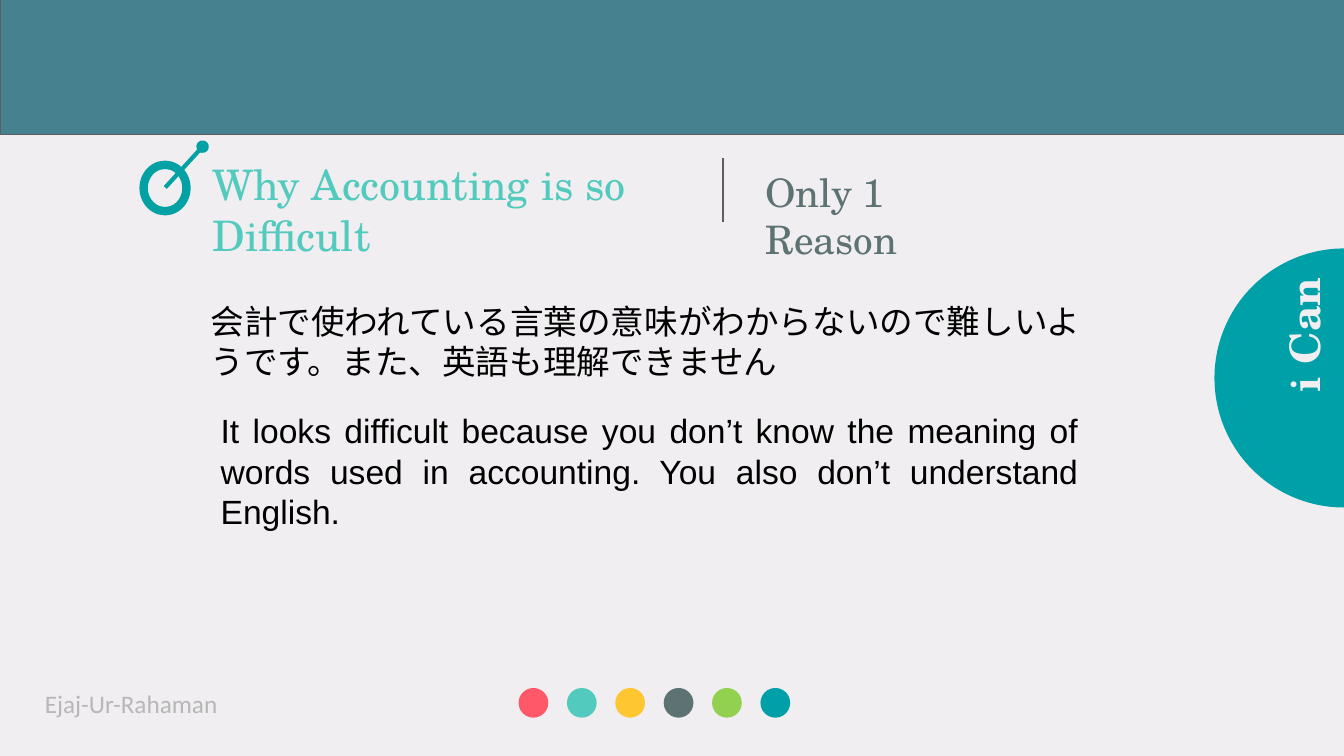
from math import cos, pi, sin

from lxml.etree import SubElement
from pptx import Presentation
from pptx.dml.color import RGBColor
from pptx.enum.shapes import MSO_CONNECTOR, MSO_SHAPE
from pptx.enum.text import MSO_ANCHOR, PP_ALIGN
from pptx.oxml.ns import qn
from pptx.util import Inches, Pt

SERIF = "TeX Gyre Schola"
SANS = "Arial"
PAPER = "F0EEF0"
TEAL = "00A0A8"
MINT = "52CBBE"
SLATE = "5D7373"
RULE = "5E5E5E"
TARGET = "03A1A4"
DOT_COLORS = ["FF5969", MINT, "FEC630", SLATE, "92D050", TEAL]


def color(value):
    """Turn a hex string into a colour."""
    return RGBColor.from_string(value)


def paint(shape, fill=None, line=None, weight=0):
    """Set the fill and outline of a shape and remove its shadow."""
    shape.shadow.inherit = False
    if fill:
        shape.fill.solid()
        shape.fill.fore_color.rgb = color(fill)
    else:
        shape.fill.background()
    if line:
        shape.line.color.rgb = color(line)
        shape.line.width = Pt(weight)
    else:
        shape.line.fill.background()


def add_preset(slide, kind, left, top, width, height, **style):
    """Add a painted preset shape."""
    shape = slide.shapes.add_shape(
        kind, Inches(left), Inches(top), Inches(width), Inches(height))
    paint(shape, **style)


def add_line(slide, x1, y1, x2, y2, stroke, weight):
    """Add a straight line without a shadow."""
    line = slide.shapes.add_connector(
        MSO_CONNECTOR.STRAIGHT, Inches(x1), Inches(y1), Inches(x2), Inches(y2))
    line.line.color.rgb = color(stroke)
    line.line.width = Pt(weight)
    SubElement(line._element.spPr, qn("a:effectLst"))
    return line


def add_text(slide, text, left, top, width, height, size, font, ink,
             align=PP_ALIGN.LEFT, bold=False, rotation=0):
    """Add a wrapped text box with one paragraph."""
    box = slide.shapes.add_textbox(
        Inches(left), Inches(top), Inches(width), Inches(height))
    box.rotation = rotation
    frame = box.text_frame
    frame.word_wrap = True
    frame.vertical_anchor = MSO_ANCHOR.TOP
    frame.margin_left = frame.margin_right = Inches(0.1)
    frame.margin_top = frame.margin_bottom = Inches(0.1)
    paragraph = frame.paragraphs[0]
    paragraph.text = text
    paragraph.alignment = align
    paragraph.font.size = Pt(size)
    paragraph.font.name = font
    paragraph.font.bold = bold
    paragraph.font.color.rgb = color(ink)


def add_target(slide, left, top):
    """Draw the ring with its round-headed pointer."""
    add_preset(slide, MSO_SHAPE.OVAL, left, top + 0.36, 0.85, 0.92,
               line=TARGET, weight=12)
    pointer = add_line(slide, left + 0.43, top + 0.81, left + 1.17, top,
                       TARGET, 6)
    outline = pointer._element.spPr.find(qn("a:ln"))
    SubElement(outline, qn("a:tailEnd"), type="oval")


def add_heading(slide, left, top):
    """Place the target, title, divider and subtitle."""
    add_text(slide, "Why Accounting is so Difficult",
             left + 1.27, top + 0.14, 11.39, 1.44, 60, SERIF, MINT)
    add_text(slide, "Only 1 Reason",
             left + 12.24, top + 0.33, 5.03, 1.05, 56, SERIF, SLATE)
    add_line(slide, left + 11.49, top + 0.22, left + 11.49, top + 1.5, RULE, 3)
    add_target(slide, left, top)


def add_explanation(slide, left, top):
    """Place the Japanese text and the English text below it."""
    add_text(slide, "会計で使われている言葉の意味がわからないので難しいようです。"
             "また、英語も理解できません",
             left, top, 17.8, 2.08, 48, SANS, "000000")
    add_text(slide, "It looks difficult because you don’t know the meaning of "
             "words used in accounting. You also don’t understand English.",
             left + 0.2, top + 2.17, 17.22, 3.28, 48, SANS, "000000",
             align=PP_ALIGN.JUSTIFY)


def add_side_tab(slide, right, middle, radius, steps=90):
    """Draw the half disc on the right edge with its upright label."""
    arc = [(Inches(right - radius * sin(pi * step / steps)),
            Inches(middle - radius * cos(pi * step / steps)))
           for step in range(steps + 1)]
    builder = slide.shapes.build_freeform(*arc[0])
    builder.add_line_segments(arc[1:], close=True)
    paint(builder.convert_to_shape(), fill=TEAL)
    add_text(slide, "i Can", right - 2.69, middle - 1.51, 3.87, 1.3, 60, SERIF,
             PAPER, align=PP_ALIGN.CENTER, bold=True, rotation=270)


def add_footer(slide, left, top):
    """Place the author and the row of coloured dots."""
    add_text(slide, "Ejaj-Ur-Rahaman", left, top, 4.3, 0.92, 36, "Calibri",
             "B7B7B7")
    for index, fill in enumerate(DOT_COLORS):
        add_preset(slide, MSO_SHAPE.OVAL, left + 9.5 + 0.96 * index,
                   top + 0.1, 0.59, 0.59, fill=fill)


def main():
    """Build and save the slide."""
    deck = Presentation()
    deck.slide_width, deck.slide_height = Inches(26.67), Inches(15)
    slide = deck.slides.add_slide(deck.slide_layouts[6])
    slide.background.fill.solid()
    slide.background.fill.fore_color.rgb = color(PAPER)
    add_preset(slide, MSO_SHAPE.RECTANGLE, 0, -0.01, 26.75, 2.67,
               fill="45818E", line=RULE, weight=0.75)
    add_heading(slide, 2.85, 2.91)
    add_explanation(slide, 4.08, 5.87)
    add_side_tab(slide, 26.67, 7.5, 2.57)
    add_footer(slide, 0.79, 13.55)
    deck.save("out.pptx")


if __name__ == "__main__":
    main()
